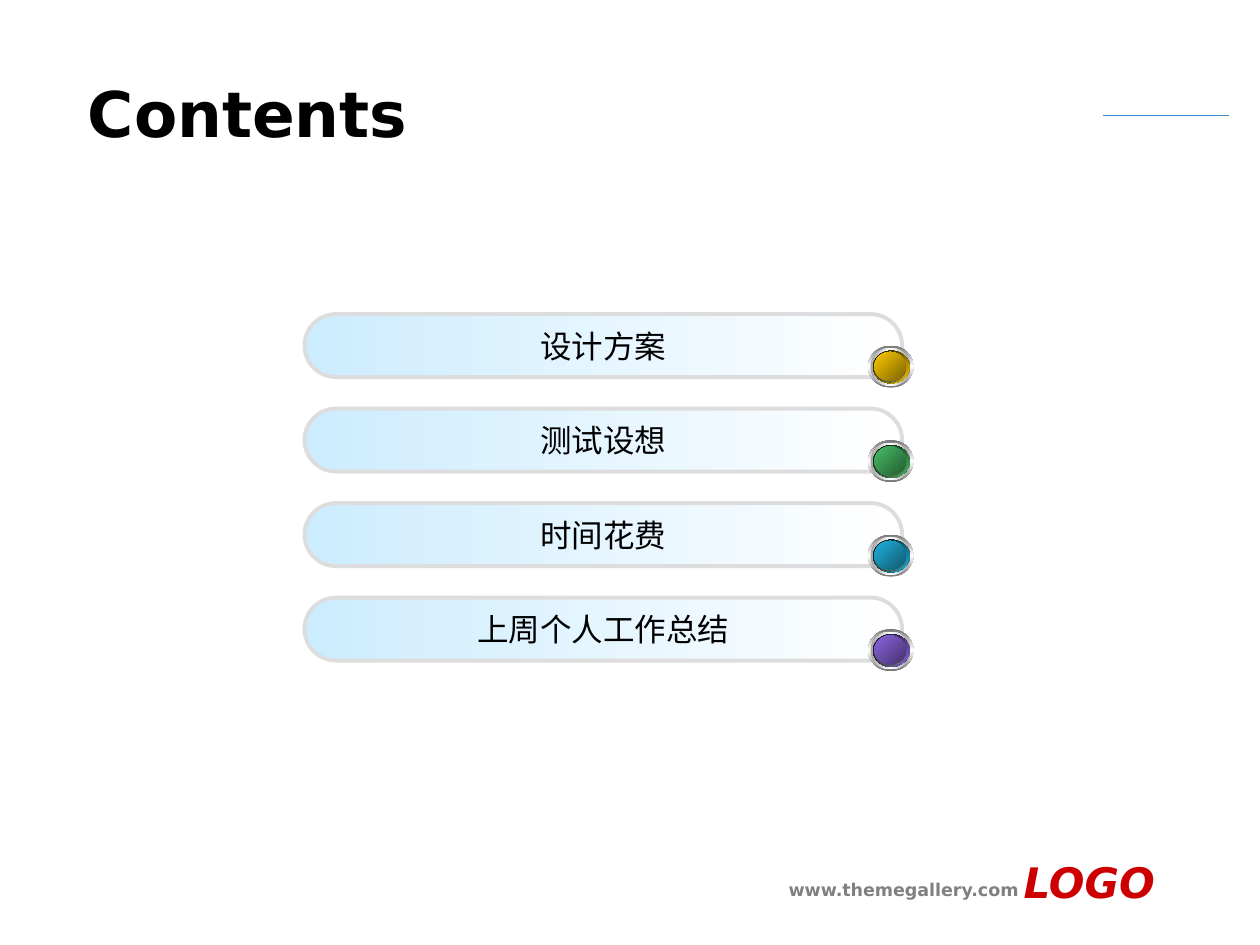
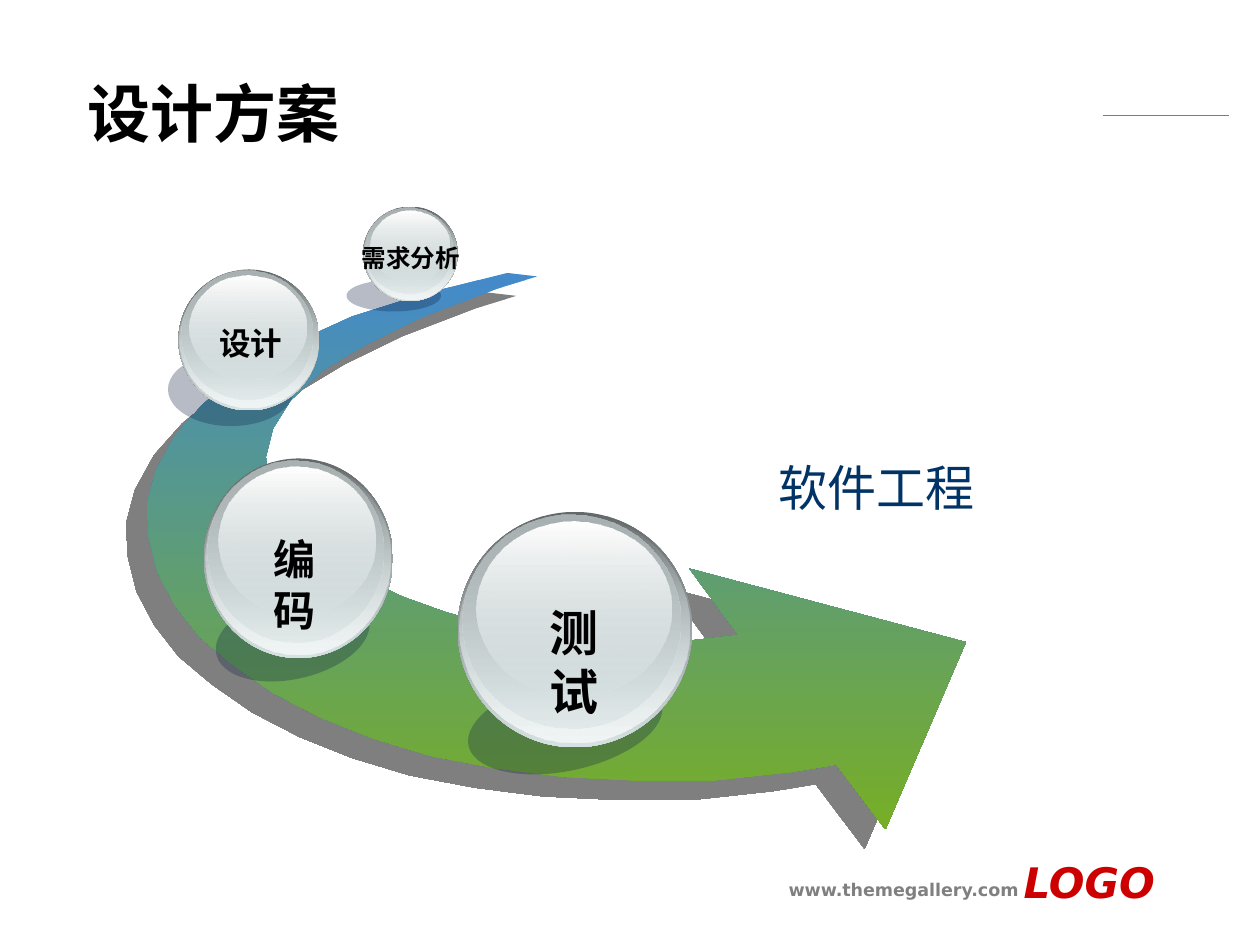
from pptx import Presentation
from pptx.dml.color import RGBColor
from pptx.enum.shapes import MSO_CONNECTOR, MSO_SHAPE
from pptx.enum.text import MSO_ANCHOR, PP_ALIGN
from pptx.oxml.ns import qn
from pptx.util import Pt
from lxml.etree import SubElement

COLORS = {
    "black": "000000", "white": "FFFFFF", "rule": "438ACB",
    "address": "808080", "logo": "CC0000", "topic": "003366",
    "pill": "CCECFF", "pill_line": "DDDDDD",
    "rim": "767676", "ring": "A2A2A2", "olive": "6E815B", "dark_olive": "3C4631",
    "yellow": "FFCC00", "dark_yellow": "7C6300",
    "green": "48BE67", "dark_green": "235C32",
    "blue": "21B3E1", "dark_blue": "10576D",
    "purple": "8D67E1", "dark_purple": "45326D",
    "arrow_top": "438ACB", "arrow_end": "77AE26", "ball_shadow": "0F2145",
    "ball_edge": "636869", "ball": "D6E1E2", "ball_light": "F1F5F5", "ball_grey": "AAB2B3",
}
HEAD_FONT, BODY_FONT = "DejaVu Sans", "Arial"


def fill_gradient(sp, stops, angle):
    """Fill with (position %, colour[, opacity %]) stops; no outline, no shadow."""
    sp.shadow.inherit = False
    sp.line.fill.background()
    sp.fill.gradient()
    grad = sp._element.spPr.find(qn("a:gradFill"))
    grad.clear()
    gs_list = SubElement(grad, qn("a:gsLst"))
    for pos, color, *opacity in stops:
        gs = SubElement(gs_list, qn("a:gs"), pos=str(pos * 1000))
        clr = SubElement(gs, qn("a:srgbClr"), val=COLORS[color])
        for value in opacity:
            SubElement(clr, qn("a:alpha"), val=str(value * 1000))
    SubElement(grad, qn("a:lin"), ang=str(angle * 60000), scaled="0")


def write_text(sp, text, size, color, font=BODY_FONT, bold=False, italic=False,
               align=PP_ALIGN.LEFT, anchor=MSO_ANCHOR.TOP, wrap=True):
    tf = sp.text_frame
    tf.text = text
    tf.word_wrap = wrap
    tf.vertical_anchor = anchor
    p = tf.paragraphs[0]
    p.alignment = align
    f = p.runs[0].font
    f.name, f.size, f.bold, f.italic = font, Pt(size), bold, italic
    f.color.rgb = RGBColor.from_string(COLORS[color])


prs = Presentation()
prs.slide_width, prs.slide_height = Pt(720), Pt(540)

# Shared parts: rule, footer and title
for title in ("Contents", "设计方案"):
    s = prs.slides.add_slide(prs.slide_layouts[5])
    rule = s.shapes.add_connector(MSO_CONNECTOR.STRAIGHT, Pt(630), Pt(66), Pt(702), Pt(66))
    rule.line.color.rgb = RGBColor.from_string(COLORS["rule"])
    rule.line.width = Pt(0.75)
    SubElement(rule._element.spPr, qn("a:effectLst"))
    address = s.shapes.add_textbox(Pt(421), Pt(499), Pt(168), Pt(19.5))
    write_text(address, "www.themegallery.com", 10, "address", HEAD_FONT, bold=True,
               align=PP_ALIGN.RIGHT)
    logo = s.shapes.add_textbox(Pt(565), Pt(486), Pt(102), Pt(19.5))
    write_text(logo, "LOGO", 24, "logo", HEAD_FONT, bold=True, italic=True,
               align=PP_ALIGN.RIGHT)
    sp = s.shapes.title
    sp.left, sp.top, sp.width, sp.height = Pt(43), Pt(42), Pt(538.5), Pt(44.5)
    write_text(sp, title, 36, "black", HEAD_FONT, bold=True, anchor=MSO_ANCHOR.MIDDLE)

contents, design = prs.slides

# Contents: four pills, each with a bead at its lower right corner
entries = [
    ("设计方案", "yellow", "dark_yellow"),
    ("测试设想", "green", "dark_green"),
    ("时间花费", "blue", "dark_blue"),
    ("上周个人工作总结", "purple", "dark_purple"),
]
PILL_LEFT, PILL_TOP, PILL_PITCH = 174, 179.5, 54
BEAD_DX, BEAD_DY = 322, 18

for i, (label, color, dark) in enumerate(entries):
    top = PILL_TOP + i * PILL_PITCH
    pill = contents.shapes.add_shape(MSO_SHAPE.ROUNDED_RECTANGLE,
                                     Pt(PILL_LEFT), Pt(top), Pt(341.5), Pt(36))
    pill.adjustments[0] = 0.5
    fill_gradient(pill, [(0, "pill"), (100, "white")], 0)
    pill.line.color.rgb = RGBColor.from_string(COLORS["pill_line"])
    pill.line.width = Pt(2.25)
    write_text(pill, label, 18, "black", align=PP_ALIGN.CENTER,
               anchor=MSO_ANCHOR.MIDDLE, wrap=False)

    bead_layers = [
        (0, 0, 26, 24, [(0, "rim"), (50, "white"), (100, "rim")], 90),
        (1.4, 1.4, 23, 21.6, [(0, "ring"), (50, "white"), (100, "ring")], 0),
        (2.9, 2.9, 20.2, 18.7, [(0, "white"), (50, "olive"), (100, "white")], 45),
        (2.9, 2.9, 20.9, 18.7, [(0, "black"), (100, color)], 45),
        (3.6, 4.3, 18, 16.6, [(0, "dark_olive"), (50, "olive"), (100, "dark_olive")], 315),
        (3.6, 3.6, 18, 16.6, [(0, color), (100, dark)], 45),
    ]
    for dx, dy, w, h, stops, angle in bead_layers:
        sp = contents.shapes.add_shape(MSO_SHAPE.OVAL, Pt(PILL_LEFT + BEAD_DX + dx),
                                       Pt(top + BEAD_DY + dy), Pt(w), Pt(h))
        fill_gradient(sp, stops, angle)

# Design: curved arrow with a drop shadow
outer_edge = [
    (290, 156), (242, 168), (201, 181), (166, 197), (138, 213), (116, 231), (100, 249),
    (89, 269), (84, 288), (85, 307), (90, 327), (100, 346), (114, 364), (133, 380),
    (156, 396), (183, 410), (213, 422), (246, 432), (283, 439), (322, 444), (364, 446),
    (408, 446), (454, 441), (478, 437),
]
arrow_head = [(506, 474), (552, 367), (394, 325), (422, 363)]
inner_edge = [
    (395, 366), (366, 368), (338, 366), (309, 363), (281, 357), (255, 350), (230, 341),
    (207, 330), (188, 318), (172, 305), (161, 291), (153, 276), (152, 261), (156, 245),
    (166, 229), (184, 212), (209, 197), (242, 181), (284, 165), (307, 158),
]
start, *rest = [(Pt(x), Pt(y)) for x, y in outer_edge + arrow_head + inner_edge]
builder = design.shapes.build_freeform(*start)
builder.add_line_segments(rest, close=True)
arrow = builder.convert_to_shape()
fill_gradient(arrow, [(0, "arrow_top"), (100, "arrow_end")], 90)
shadow = SubElement(arrow._element.spPr.find(qn("a:effectLst")), qn("a:outerShdw"),
                    dist=str(Pt(16.3)), dir=str(137 * 60000), algn="ctr", rotWithShape="0")
clr = SubElement(shadow, qn("a:srgbClr"), val=COLORS["black"])
SubElement(clr, qn("a:alpha"), val="50000")

topic = design.shapes.add_textbox(Pt(438), Pt(258), Pt(198), Pt(41))
write_text(topic, "软件工程", 28, "topic")

# Design: glass balls, nearest first (label, size, ball, shadow, tilt, label box)
balls = [
    ("测试", 28, (261.5, 292.5, 134, 134.5), (266.5, 388, 113, 52.5), -12.1, (293, 341, 70, 41)),
    ("编码", 24, (116.5, 262, 108, 114), (122.5, 340, 89.5, 48), -12.9, (137.5, 301.5, 62, 36)),
    ("设计", 18, (102, 154, 80.5, 80.5), (96, 201.5, 72, 42), 0, (118, 181.5, 50.5, 29)),
    ("需求分析", 14, (207.5, 118, 54, 54), (198, 160, 54, 18), 0, (199.5, 135.5, 70.5, 24.5)),
]
# Layers as fractions of the ball: left, top, width, height
ball_layers = [
    (0, 0, 1, 1, [(0, "ball_edge"), (100, "ball")]),
    (0.01, 0.01, 0.98, 0.97, [(0, "ball", 0), (100, "ball_light")]),
    (0.02, 0.01, 0.93, 0.91, [(0, "ball_grey"), (100, "ball", 48)]),
    (0.08, 0.04, 0.83, 0.74, [(0, "white"), (100, "ball", 38)]),
]
for label, size, (left, top, width, height), shadow_box, tilt, label_box in balls:
    sp = design.shapes.add_shape(MSO_SHAPE.OVAL, *map(Pt, shadow_box))
    sp.rotation = tilt
    sp.shadow.inherit = False
    sp.line.fill.background()
    sp.fill.solid()
    sp.fill.fore_color.rgb = RGBColor.from_string(COLORS["ball_shadow"])
    clr = sp._element.spPr.find(qn("a:solidFill")).find(qn("a:srgbClr"))
    SubElement(clr, qn("a:alpha"), val="30000")
    for fx, fy, fw, fh, stops in ball_layers:
        sp = design.shapes.add_shape(MSO_SHAPE.OVAL, Pt(left + fx * width), Pt(top + fy * height),
                                     Pt(fw * width), Pt(fh * height))
        fill_gradient(sp, stops, 90)
    sp = design.shapes.add_textbox(*map(Pt, label_box))
    write_text(sp, label, size, "black", bold=True, align=PP_ALIGN.CENTER, wrap=False)

prs.save("out.pptx")
